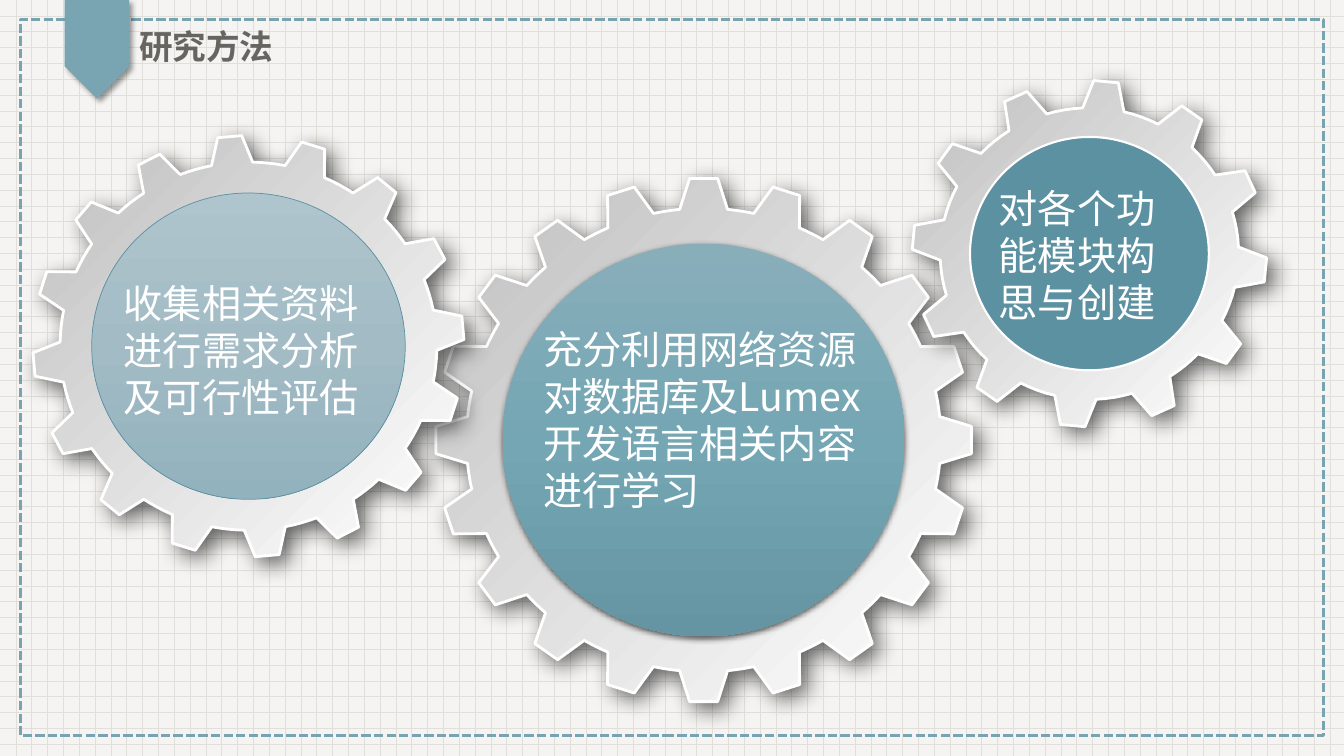
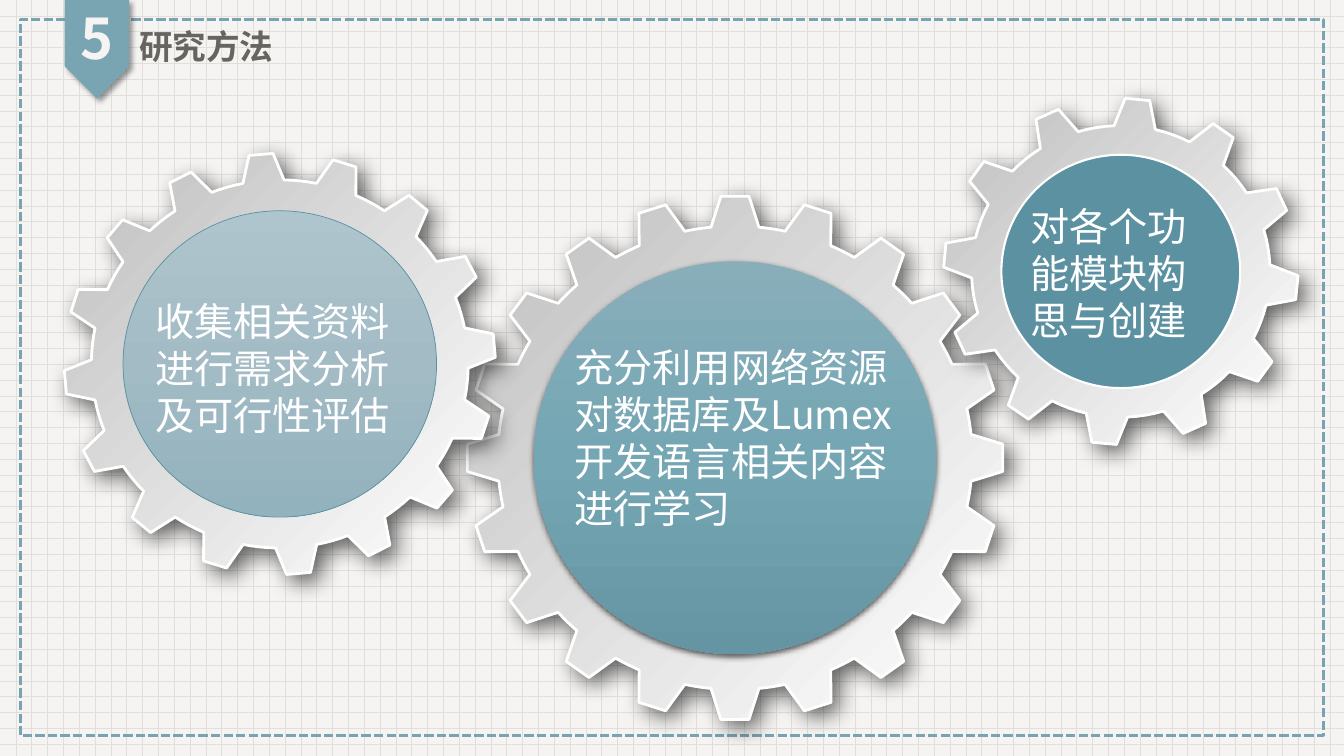
from dataclasses import dataclass
from math import cos, radians, sin

from pptx import Presentation
from pptx.dml.color import RGBColor
from pptx.enum.dml import MSO_LINE, MSO_PATTERN
from pptx.enum.shapes import MSO_SHAPE
from pptx.enum.text import MSO_ANCHOR, MSO_AUTO_SIZE, PP_ALIGN
from pptx.oxml import parse_xml
from pptx.oxml.ns import nsdecls
from pptx.util import Pt

FONT = "Noto Sans CJK SC"
COLORS = {
    "paper": "F5F4F3",
    "grid": "E1DFDA",
    "border": "78A4B1",
    "badge": "79A5B2",
    "title": "666560",
    "white": "FFFFFF",
    "silver": "BFBFBF",
    "deep_teal": "5C91A1",
    "pale_top": "AFC5CD",
    "pale_middle": "A2BBC4",
    "pale_bottom": "92B2BD",
    "teal_top": "88AEBA",
    "teal_middle": "75A6B4",
    "teal_bottom": "6595A3",
    "black": "000000",
}
FLATTEN = 0.977  # height of every gear and disc relative to its width


@dataclass
class Gear:
    center: tuple
    radius: float
    root: float         # radius between the teeth, as a share of the radius
    teeth: int
    first: float        # angle of the first tooth, clockwise from the top
    tip_half: float     # half the angle of a tooth at its tip
    root_half: float    # half the angle of a tooth at its root
    disc_radius: float
    disc_fill: tuple
    disc_line: tuple
    disc_shadow: bool
    text: str
    text_box: tuple


GEARS = [
    Gear((502.6, 314.3), 191.5, 0.885, 20, 0, 3, 5.8, 143.6,
         ("teal_top", "teal_middle", "teal_bottom"), (), True,
         "充分利用网络资源对数据库及Lumex开发语言相关内容进行学习",
         (380.9, 229, 244, 143.3)),
    Gear((177.5, 247.3), 154, 0.874, 16, -5, 3.2, 6.3, 112,
         ("pale_top", "pale_middle", "pale_bottom"), ("deep_teal", 0.5), False,
         "收集相关资料进行需求分析及可行性评估",
         (81.4, 195.8, 191.5, 108.7)),
    Gear((778.2, 181.2), 126.6, 0.842, 12, 5.4, 4, 8, 85.3,
         ("deep_teal",), ("white", 1.5), False,
         "对各个功能模块构思与创建",
         (706.3, 128.2, 143.3, 108.7)),
]


def color(name):
    return RGBColor.from_string(COLORS[name])


def points(*lengths):
    return [Pt(length) for length in lengths]


# Fills, lines and shadows
def set_fill(shape, names, angle=90):
    """Solid fill for one colour, evenly spaced gradient for several."""
    if len(names) == 1:
        shape.fill.solid()
        shape.fill.fore_color.rgb = color(names[0])
        return
    stops = "".join(
        f'<a:gs pos="{100000 * index // (len(names) - 1)}">'
        f'<a:srgbClr val="{COLORS[name]}"/></a:gs>'
        for index, name in enumerate(names))
    gradient = parse_xml(
        f'<a:gradFill {nsdecls("a")} rotWithShape="1"><a:gsLst>{stops}</a:gsLst>'
        f'<a:lin ang="{angle * 60000}" scaled="0"/></a:gradFill>')
    shape.element.spPr.insert(2, gradient)  # after position and geometry


def set_line(shape, name=None, width=0):
    if name is None:
        shape.line.fill.background()
        return
    shape.line.color.rgb = color(name)
    shape.line.width = Pt(width)


def set_shadow(shape, opacity, blur, distance, direction):
    shape.shadow.inherit = False
    effects = shape.element.spPr.find(
        "{http://schemas.openxmlformats.org/drawingml/2006/main}effectLst")
    effects.append(parse_xml(
        f'<a:outerShdw {nsdecls("a")} blurRad="{Pt(blur)}" dist="{Pt(distance)}" '
        f'dir="{direction * 60000}" algn="ctr" rotWithShape="0">'
        f'<a:srgbClr val="{COLORS["black"]}"><a:alpha val="{opacity * 1000}"/>'
        f'</a:srgbClr></a:outerShdw>'))


# Text
def write_text(shape, text, size, name, bold=False, align=PP_ALIGN.LEFT):
    frame = shape.text_frame
    frame.word_wrap = True
    frame.text = text
    paragraph = frame.paragraphs[0]
    paragraph.alignment = align
    font = paragraph.font
    font.name, font.size, font.bold = FONT, Pt(size), bold
    font.color.rgb = color(name)
    font._element.append(
        parse_xml(f'<a:ea {nsdecls("a")} typeface="{FONT}"/>'))
    return frame


def write_heading(shape, text, size, name, align=PP_ALIGN.LEFT):
    frame = write_text(shape, text, size, name, True, align)
    frame.auto_size = MSO_AUTO_SIZE.NONE
    frame.vertical_anchor = MSO_ANCHOR.MIDDLE
    frame.paragraphs[0].line_spacing = 0.9
    frame.paragraphs[0].space_before = Pt(10)


# Parts that the slides share
def add_frame(slide):
    border = slide.shapes.add_shape(
        MSO_SHAPE.RECTANGLE, *points(14.4, 13.7, 931, 512))
    border.shadow.inherit = False
    border.fill.background()
    set_line(border, "border", 2.25)
    border.line.dash_style = MSO_LINE.SQUARE_DOT

    badge = slide.shapes.add_shape(
        MSO_SHAPE.PENTAGON, *points(34, 12.2, 70.5, 46.1))
    badge.rotation = 90
    set_fill(badge, ["badge"])
    set_line(badge)
    set_shadow(badge, 40, 4, 3, 45)


def add_heading(slide, title, number):
    placeholder = slide.shapes.title
    (placeholder.left, placeholder.top,
     placeholder.width, placeholder.height) = points(92.2, 16.6, 331, 36.7)
    write_heading(placeholder, title, 24, "title")
    if number:
        box = slide.shapes.add_textbox(*points(46.1, 0, 46.1, 59))
        write_heading(box, number, 40, "paper", PP_ALIGN.CENTER)


# Gears
def gear_outline(gear, center_x, center_y):
    def at(angle, radius):
        return (Pt(center_x + radius * sin(radians(angle))),
                Pt(center_y - radius * FLATTEN * cos(radians(angle))))

    pitch = 360 / gear.teeth
    root_radius = gear.radius * gear.root
    valley = pitch - 2 * gear.root_half
    steps = 4
    outline = []
    for tooth in range(gear.teeth):
        angle = gear.first + tooth * pitch
        outline += [at(angle + side * gear.tip_half, gear.radius)
                    for side in (-1, 1)]
        outline += [at(angle + gear.root_half + valley * step / steps, root_radius)
                    for step in range(steps + 1)]
    return outline


def add_gear(slide, gear, shift_x, shift_y):
    center_x, center_y = gear.center
    start, *rest = gear_outline(gear, center_x + shift_x, center_y + shift_y)
    builder = slide.shapes.build_freeform(*start)
    builder.add_line_segments(rest, close=True)
    wheel = builder.convert_to_shape()
    set_fill(wheel, ["white", "silver"], 225)
    set_line(wheel, "white", 2)
    set_shadow(wheel, 60, 16, 6, 45)


def add_disc(slide, gear, shift_x, shift_y):
    center_x, center_y = gear.center
    width, height = gear.disc_radius, gear.disc_radius * FLATTEN
    disc = slide.shapes.add_shape(MSO_SHAPE.OVAL, *points(
        center_x + shift_x - width, center_y + shift_y - height,
        2 * width, 2 * height))
    disc.shadow.inherit = False
    set_fill(disc, gear.disc_fill)
    set_line(disc, *gear.disc_line)
    if gear.disc_shadow:
        set_shadow(disc, 63, 4.5, 1.5, 90)


def add_label(slide, gear, shift_x, shift_y):
    left, top, width, height = gear.text_box
    box = slide.shapes.add_textbox(
        *points(left + shift_x, top + shift_y, width, height))
    frame = write_text(box, gear.text, 28, "white")
    frame.auto_size = MSO_AUTO_SIZE.SHAPE_TO_FIT_TEXT


def add_method_slide(presentation, number, shift):
    slide = presentation.slides.add_slide(presentation.slide_layouts[5])
    add_frame(slide)
    add_heading(slide, "研究方法", number)
    for add_part in (add_gear, add_disc, add_label):
        for gear in GEARS:
            add_part(slide, gear, *shift)


def main():
    presentation = Presentation()
    presentation.slide_width, presentation.slide_height = points(960, 540)

    paper = presentation.slide_master.background.fill
    paper.patterned()
    paper.pattern = MSO_PATTERN.DOTTED_GRID
    paper.fore_color.rgb = color("grid")
    paper.back_color.rgb = color("paper")

    add_method_slide(presentation, None, (0, 0))
    add_method_slide(presentation, "5", (22.4, 12.7))
    presentation.save("out.pptx")


if __name__ == "__main__":
    main()
